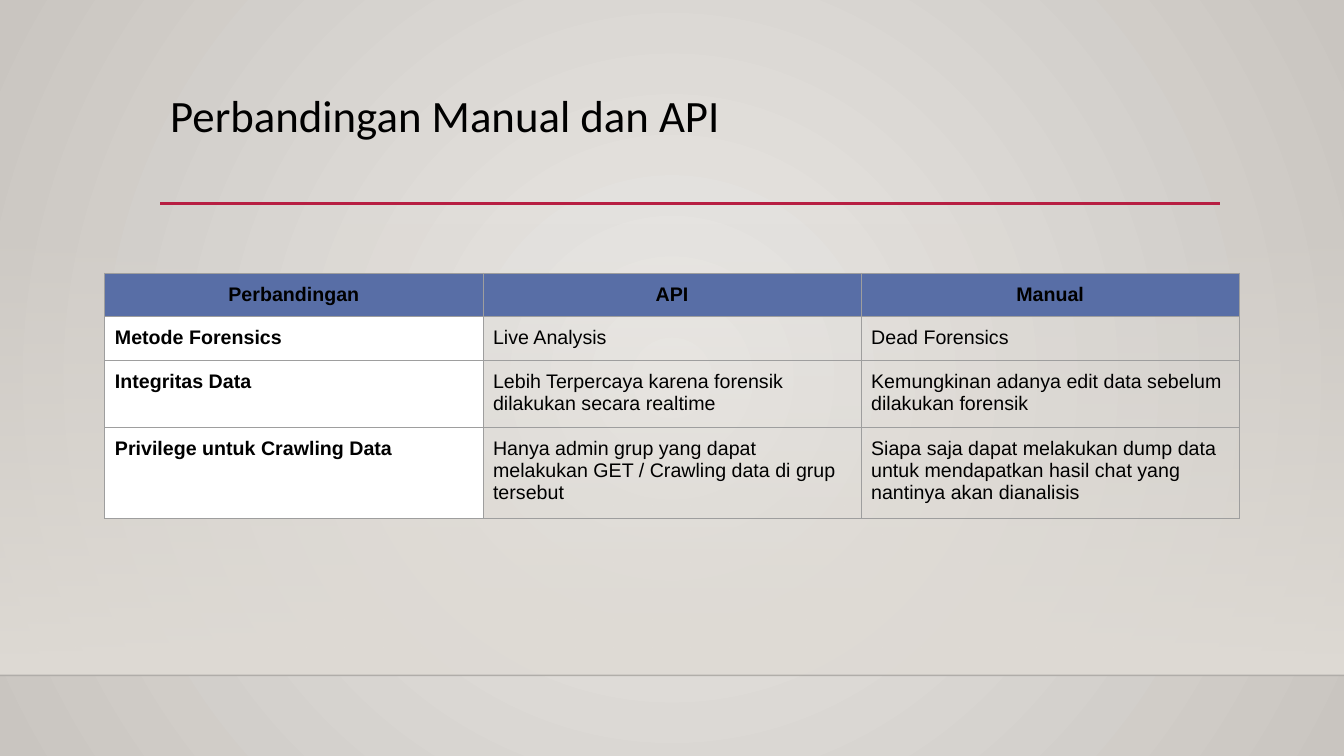
from dataclasses import dataclass

from lxml import etree
from pptx import Presentation
from pptx.dml.color import RGBColor
from pptx.enum.shapes import MSO_CONNECTOR, MSO_SHAPE
from pptx.enum.text import MSO_ANCHOR, PP_ALIGN
from pptx.oxml import parse_xml
from pptx.oxml.ns import nsdecls, qn
from pptx.util import Inches, Pt

STRAIGHT = MSO_CONNECTOR.STRAIGHT
RECTANGLE = MSO_SHAPE.RECTANGLE
TOP = MSO_ANCHOR.TOP
LEFT, CENTER = PP_ALIGN.LEFT, PP_ALIGN.CENTER

SLIDE_WIDTH, SLIDE_HEIGHT = 13.33, 7.5
FLOOR_Y = 6.7
RADIAL = ('<a:path path="circle"><a:fillToRect l="50000" t="50000" '
          'r="50000" b="50000"/></a:path>')
DOWNWARD = '<a:lin ang="5400000" scaled="0"/>'

HEADINGS = ["Perbandingan", "API", "Manual"]
COMPARISONS = [
    ["Metode Forensics", "Live Analysis", "Dead Forensics"],
    ["Integritas Data",
     "Lebih Terpercaya karena forensik dilakukan secara realtime",
     "Kemungkinan adanya edit data sebelum dilakukan forensik"],
    ["Privilege untuk Crawling Data",
     "Hanya admin grup yang dapat melakukan GET / Crawling data di grup tersebut",
     "Siapa saja dapat melakukan dump data untuk mendapatkan hasil chat yang "
     "nantinya akan dianalisis"],
]


@dataclass(frozen=True)
class Theme:
    """Colours, fonts and type sizes of the slide."""
    glow: str = "EBE9E6"
    edge: str = "C9C5C0"
    wall: str = "DFDBD5"
    floor_line: str = "000001"
    accent: str = "B71E42"
    text: str = "000000"
    header: str = "586EA6"
    label: str = "FFFFFF"
    border: str = "9E9E9E"
    title_font: str = "Calibri"
    table_font: str = "Arial"
    title_size: int = 32
    table_size: int = 14


def apply_format(target, values):
    """Set each named attribute on the target."""
    for name, value in values.items():
        setattr(target, name, value)


def set_gradient(owner, stops, direction):
    """Swap the owner's solid fill for a gradient of (place, colour, alpha) stops."""
    stop_xml = "".join(
        f'<a:gs pos="{place * 1000}"><a:srgbClr val="{colour}">'
        f'<a:alpha val="{alpha * 1000}"/></a:srgbClr></a:gs>'
        for place, colour, alpha in stops)
    solid = next(owner.iter(qn("a:solidFill")))
    solid.getparent().replace(solid, parse_xml(
        f'<a:gradFill {nsdecls("a")} rotWithShape="1">'
        f'<a:gsLst>{stop_xml}</a:gsLst>{direction}</a:gradFill>'))


class SlideBuilder:
    """Draws elements on one slide in one theme."""

    def __init__(self, slide, theme):
        """Keep the slide and its theme."""
        self.slide = slide
        self.theme = theme

    def background(self):
        """Fill the background with a radial glow."""
        self.slide.background.fill.solid()
        set_gradient(self.slide.element,
                     [(0, self.theme.glow, 100), (100, self.theme.edge, 100)], RADIAL)

    def fading_panel(self, left, top, width, height, colour):
        """Add a rectangle that fades in from top to bottom."""
        panel = self.slide.shapes.add_shape(
            RECTANGLE, Inches(left), Inches(top), Inches(width), Inches(height))
        panel.shadow.inherit = False
        panel.line.fill.background()
        panel.fill.solid()
        set_gradient(panel.element, [(0, colour, 0), (100, colour, 100)], DOWNWARD)

    def rule(self, left, right, y, colour, weight, opacity=100):
        """Add a horizontal line."""
        rule = self.slide.shapes.add_connector(
            STRAIGHT, Inches(left), Inches(y), Inches(right), Inches(y))
        rule.line.width = Pt(weight)
        rule.line.color.rgb = RGBColor.from_string(colour)
        tint = next(rule.element.iter(qn("a:srgbClr")))
        etree.SubElement(tint, qn("a:alpha"), val=str(opacity * 1000))
        etree.SubElement(rule.element.spPr, qn("a:effectLst"))

    def add_words(self, paragraph, words, font, size, bold=False, align=LEFT):
        """Put formatted words in a paragraph."""
        paragraph.alignment = align
        run = paragraph.add_run()
        run.text = words
        apply_format(run.font, {"name": font, "size": Pt(size), "bold": bold})
        run.font.color.rgb = RGBColor.from_string(self.theme.text)

    def title(self, left, top, width, height, words):
        """Add the slide title."""
        box = self.slide.shapes.add_textbox(
            Inches(left), Inches(top), Inches(width), Inches(height))
        apply_format(box.text_frame, {"word_wrap": True, "vertical_anchor": TOP})
        heading = box.text_frame.paragraphs[0]
        heading.line_spacing = 0.9
        self.add_words(heading, words, self.theme.title_font, self.theme.title_size)

    def cell_borders(self, cell):
        """Draw a thin line on all four sides of a cell."""
        properties = cell._tc.get_or_add_tcPr()
        for side in ("lnL", "lnR", "lnT", "lnB"):
            properties.append(parse_xml(
                f'<a:{side} {nsdecls("a")} w="{Pt(0.75)}"><a:solidFill>'
                f'<a:srgbClr val="{self.theme.border}"/></a:solidFill></a:{side}>'))

    def cell(self, cell, words, is_header, is_label):
        """Style and fill one table cell."""
        sides = ("margin_left", "margin_right", "margin_top", "margin_bottom")
        apply_format(cell, dict.fromkeys(sides, Inches(0.1)))
        cell.vertical_anchor = TOP
        self.cell_borders(cell)
        if is_header or is_label:
            cell.fill.solid()
            colour = self.theme.header if is_header else self.theme.label
            cell.fill.fore_color.rgb = RGBColor.from_string(colour)
        else:
            cell.fill.background()
        self.add_words(cell.text_frame.paragraphs[0], words, self.theme.table_font,
                       self.theme.table_size, is_header or is_label,
                       CENTER if is_header else LEFT)

    def table(self, left, top, column_width, row_height, rows):
        """Add a table with a header row and a label column."""
        columns = len(rows[0])
        table = self.slide.shapes.add_table(
            len(rows), columns, Inches(left), Inches(top),
            Inches(column_width * columns), Inches(row_height * len(rows))).table
        for column in table.columns:
            column.width = Inches(column_width)
        for row_index, row in enumerate(rows):
            table.rows[row_index].height = Inches(row_height)
            for column_index, words in enumerate(row):
                self.cell(table.cell(row_index, column_index), words,
                          row_index == 0, column_index == 0)


def main():
    """Build and save the comparison slide."""
    deck = Presentation()
    apply_format(deck, {"slide_width": Inches(SLIDE_WIDTH),
                        "slide_height": Inches(SLIDE_HEIGHT)})
    theme = Theme()
    builder = SlideBuilder(deck.slides.add_slide(deck.slide_layouts[6]), theme)
    builder.background()
    builder.fading_panel(0, 2.21, SLIDE_WIDTH, FLOOR_Y - 2.21, theme.wall)
    builder.rule(0, SLIDE_WIDTH, FLOOR_Y, theme.floor_line, 1, opacity=20)
    builder.rule(1.59, 12.1, 2.02, theme.accent, 2.5)
    builder.title(1.59, 0.88, 10.5, 1.15, "Perbandingan Manual dan API")
    builder.table(1.04, 2.71, 3.75, 0.42, [HEADINGS, *COMPARISONS])
    deck.save("out.pptx")


main()
